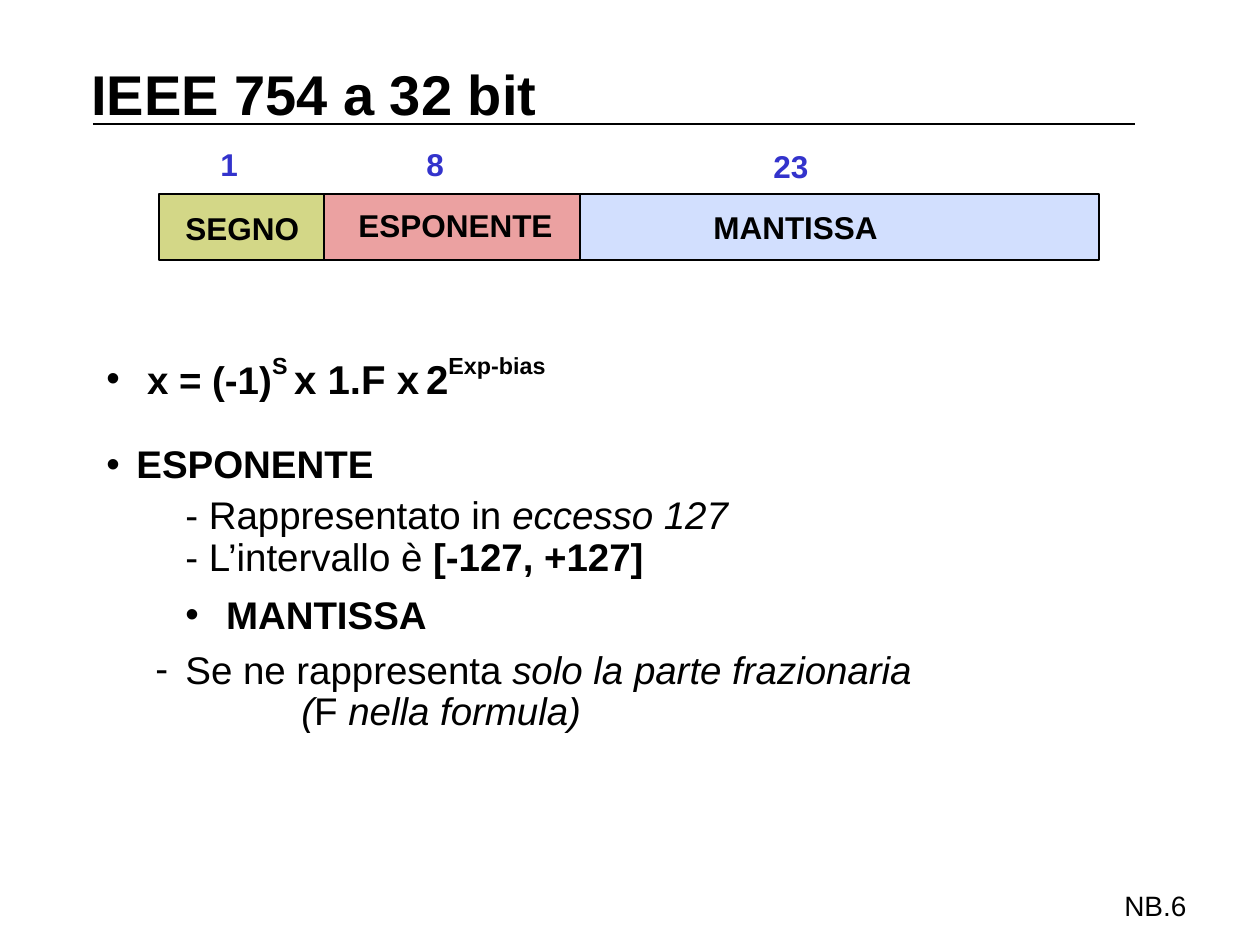
from dataclasses import dataclass
from typing import Optional

from lxml.etree import SubElement
from pptx import Presentation
from pptx.dml.color import RGBColor
from pptx.enum.shapes import MSO_CONNECTOR as Connector, MSO_SHAPE as Preset
from pptx.enum.text import MSO_ANCHOR as Anchor
from pptx.oxml.ns import qn
from pptx.util import Emu, Pt

EMU_PER_PX = 914400 / 126


@dataclass(frozen=True)
class Theme:
    font: str = "Arial"
    ink: str = "000000"
    bits: str = "3333CC"
    sign: str = "D3D787"
    exponent: str = "EBA1A1"
    mantissa: str = "D2DFFE"
    title_size: int = 32
    body_size: int = 22
    formula_size: int = 23
    label_size: int = 18
    footer_size: int = 16
    line_width: float = 1.5
    line_spacing: float = 0.9


THEME = Theme()


@dataclass(frozen=True)
class Box:
    left: int
    top: int
    width: int
    height: int


@dataclass(frozen=True)
class Run:
    text: str
    size: int = THEME.body_size
    bold: bool = False
    italic: bool = False
    raised: bool = False
    color: str = THEME.ink


@dataclass(frozen=True)
class Line:
    runs: tuple[Run, ...]
    left: int = 0
    hang: int = 0
    bullet: Optional[str] = None
    before: float = 0
    spacing: Optional[float] = None


@dataclass(frozen=True)
class Field:
    name: str
    bits: str
    width: int
    color: str
    name_box: Box
    bits_box: Box


def px(value: int) -> Emu:
    return Emu(round(value * EMU_PER_PX))


def place(box: Box) -> tuple[Emu, ...]:
    return px(box.left), px(box.top), px(box.width), px(box.height)


def add_run(paragraph, item: Run) -> None:
    run = paragraph.add_run()
    run.text = item.text
    font = run.font
    font.name, font.size = THEME.font, Pt(item.size)
    font.bold, font.italic = item.bold, item.italic
    font.color.rgb = RGBColor.from_string(item.color)
    if item.raised:
        run._r.get_or_add_rPr().set("baseline", "50000")


def add_text(slide, box: Box, lines: tuple[Line, ...], anchor: Anchor = Anchor.TOP) -> None:
    frame = slide.shapes.add_textbox(*place(box)).text_frame
    frame.word_wrap = True
    frame.vertical_anchor = anchor
    for index, line in enumerate(lines):
        paragraph = frame.add_paragraph() if index else frame.paragraphs[0]
        paragraph.space_before = Pt(line.before)
        if line.spacing:
            paragraph.line_spacing = line.spacing
        properties = paragraph._p.get_or_add_pPr()
        properties.set("marL", str(px(line.left)))
        properties.set("indent", str(px(-line.hang)))
        if line.bullet:
            SubElement(properties, qn("a:buFont")).set("typeface", THEME.font)
            SubElement(properties, qn("a:buChar")).set("char", line.bullet)
        for item in line.runs:
            add_run(paragraph, item)


def add_rule(slide, x1: int, y1: int, x2: int, y2: int) -> None:
    rule = slide.shapes.add_connector(Connector.STRAIGHT, px(x1), px(y1), px(x2), px(y2))
    rule.line.color.rgb = RGBColor.from_string(THEME.ink)
    rule.line.width = Pt(THEME.line_width)
    SubElement(rule._element.spPr, qn("a:effectLst"))


def add_rectangle(slide, box: Box, fill: Optional[str] = None) -> None:
    """A filled area without outline, or an outline without fill."""
    shape = slide.shapes.add_shape(Preset.RECTANGLE, *place(box))
    shape.shadow.inherit = False
    if fill:
        shape.fill.solid()
        shape.fill.fore_color.rgb = RGBColor.from_string(fill)
        shape.line.fill.background()
    else:
        shape.fill.background()
        shape.line.color.rgb = RGBColor.from_string(THEME.ink)
        shape.line.width = Pt(THEME.line_width)


def add_word_format(slide, left: int, top: int, height: int, fields: tuple[Field, ...]) -> None:
    edges = [left]
    for field in fields:
        add_rectangle(slide, Box(edges[-1], top, field.width, height), field.color)
        edges.append(edges[-1] + field.width)
    add_rectangle(slide, Box(left, top, edges[-1] - left, height))
    for edge in edges[1:-1]:
        add_rule(slide, edge, top, edge, top + height)
    for field in fields:
        for text, box, color in ((field.name, field.name_box, THEME.ink),
                                 (field.bits, field.bits_box, THEME.bits)):
            run = Run(text, THEME.label_size, bold=True, color=color)
            add_text(slide, box, (Line((run,)),))


def body_line(*runs: Run, left: int = 79, hang: int = 0, bullet: Optional[str] = None,
              before: float = 0) -> Line:
    return Line(runs, left, hang, bullet, before, THEME.line_spacing)


# Label boxes are wider than their words, so that no word breaks
FIELDS = (
    Field("SEGNO", "1", 165, THEME.sign, Box(173, 203, 160, 50), Box(208, 139, 83, 50)),
    Field("ESPONENTE", "8", 256, THEME.exponent, Box(346, 200, 250, 50), Box(414, 139, 60, 50)),
    Field("MANTISSA", "23", 519, THEME.mantissa, Box(701, 202, 220, 50), Box(761, 141, 80, 50)),
)

HANG = 30
BIG = THEME.formula_size
BODY = (
    body_line(Run(" x = (-1)", bold=True), Run("S ", BIG, bold=True, raised=True),
              Run("x 1.F x", BIG, bold=True), Run(" ", BIG, bold=True, raised=True),
              Run("2", BIG, bold=True), Run("Exp-bias", BIG, bold=True, raised=True),
              left=HANG, hang=HANG, bullet="•"),
    body_line(Run("ESPONENTE", bold=True), left=HANG, hang=HANG, bullet="•", before=23.9),
    body_line(Run("- Rappresentato in "), Run("eccesso 127", italic=True), before=5.5),
    body_line(Run("- L’intervallo è "), Run("[-127, +127]", bold=True)),
    body_line(Run(" MANTISSA", bold=True), left=79 + HANG, hang=HANG, bullet="•", before=9.4),
    body_line(Run("Se ne rappresenta "), Run("solo la parte frazionaria", italic=True),
              hang=HANG, bullet="-", before=7.6),
    body_line(Run("(", italic=True), Run("F"), Run(" nella formula)", italic=True), left=195),
)


def main() -> None:
    presentation = Presentation()
    presentation.slide_width, presentation.slide_height = px(1260), px(945)
    slide = presentation.slides.add_slide(presentation.slide_layouts[6])

    # Title with its rule, and the page number
    title = Run("IEEE 754 a 32 bit", THEME.title_size, bold=True)
    add_text(slide, Box(79, 65, 1023, 57), (Line((title,)),), anchor=Anchor.MIDDLE)
    add_rule(slide, 93, 124, 1135, 124)
    add_text(slide, Box(1112, 882, 141, 45), (Line((Run("NB.6", THEME.footer_size),)),))

    # Bit fields of the 32-bit word
    add_word_format(slide, 159, 194, 66, FIELDS)

    # Formula and explanation
    add_text(slide, Box(94, 351, 1077, 457), BODY)

    presentation.save("out.pptx")


if __name__ == "__main__":
    main()
